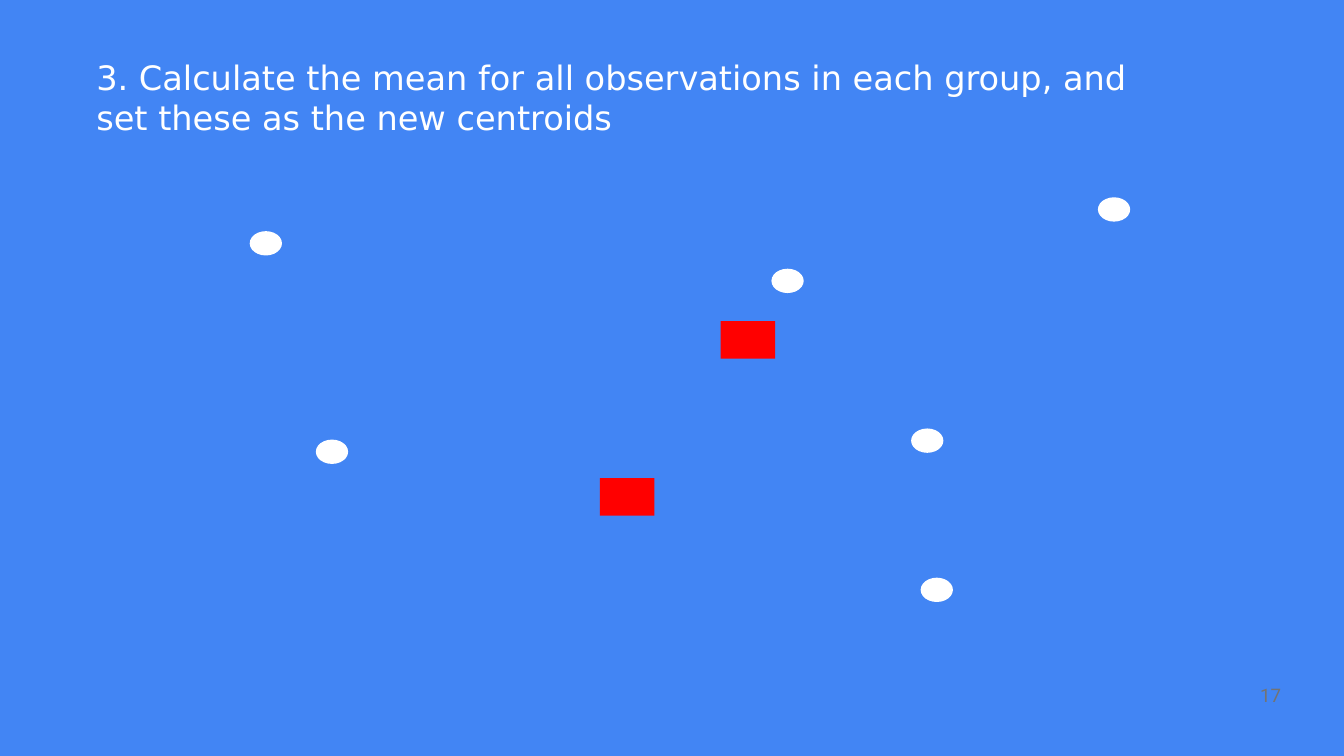
from pptx import Presentation
from pptx.dml.color import RGBColor
from pptx.enum.shapes import MSO_SHAPE
from pptx.enum.text import MSO_ANCHOR, MSO_AUTO_SIZE, PP_ALIGN
from pptx.util import Cm, Pt

BACKGROUND = "4285F4"
WHITE = "FFFFFF"
RED = "FF0000"
GREY = "737373"

OBSERVATION_SIZE = (0.61, 0.46)
OBSERVATIONS = [
    (4.72, 4.37),
    (5.97, 8.31),
    (14.58, 5.08),
    (17.22, 8.1),
    (20.75, 3.73),
    (17.4, 10.92),
]
CENTROID_SIZE = (1.03, 0.71)
CENTROIDS = [(13.62, 6.07), (11.34, 9.04)]


def paint(fill, color):
    fill.solid()
    fill.fore_color.rgb = RGBColor.from_string(color)


def write_text(frame, text, size, font, color, align, anchor):
    frame.word_wrap = True
    frame.auto_size = MSO_AUTO_SIZE.NONE
    frame.vertical_anchor = anchor
    frame.margin_left = frame.margin_right = Cm(0.25)
    frame.margin_top = frame.margin_bottom = Cm(0.13)
    paragraph = frame.paragraphs[0]
    paragraph.alignment = align
    run = paragraph.add_run()
    run.text = text
    run.font.size = Pt(size)
    run.font.name = font
    run.font.color.rgb = RGBColor.from_string(color)


def add_title(slide, text):
    title = slide.shapes.title
    title.left, title.top = Cm(1.57), Cm(0.94)
    title.width, title.height = Cm(21.01), Cm(1.35)
    write_text(title.text_frame, text, 18, "DejaVu Sans", WHITE,
               PP_ALIGN.LEFT, MSO_ANCHOR.TOP)


def add_page_number(slide, number):
    page_number = slide.shapes.add_textbox(
        Cm(23.19), Cm(12.73), Cm(1.27), Cm(0.76))
    write_text(page_number.text_frame, number, 10, "Roboto", GREY,
               PP_ALIGN.RIGHT, MSO_ANCHOR.BOTTOM)


def add_markers(slide, kind, positions, size, color):
    width, height = size
    for left, top in positions:
        marker = slide.shapes.add_shape(
            kind, Cm(left), Cm(top), Cm(width), Cm(height))
        marker.shadow.inherit = False
        paint(marker.fill, color)
        marker.line.fill.background()


def main():
    presentation = Presentation()
    presentation.slide_width = Cm(25.4)
    presentation.slide_height = Cm(14.29)
    slide = presentation.slides.add_slide(presentation.slide_layouts[5])
    paint(slide.background.fill, BACKGROUND)
    add_title(slide, "3. Calculate the mean for all observations in each "
                     "group, and set these as the new centroids")
    add_page_number(slide, "17")
    add_markers(slide, MSO_SHAPE.OVAL, OBSERVATIONS, OBSERVATION_SIZE, WHITE)
    add_markers(slide, MSO_SHAPE.RECTANGLE, CENTROIDS, CENTROID_SIZE, RED)
    presentation.save("out.pptx")


if __name__ == "__main__":
    main()
